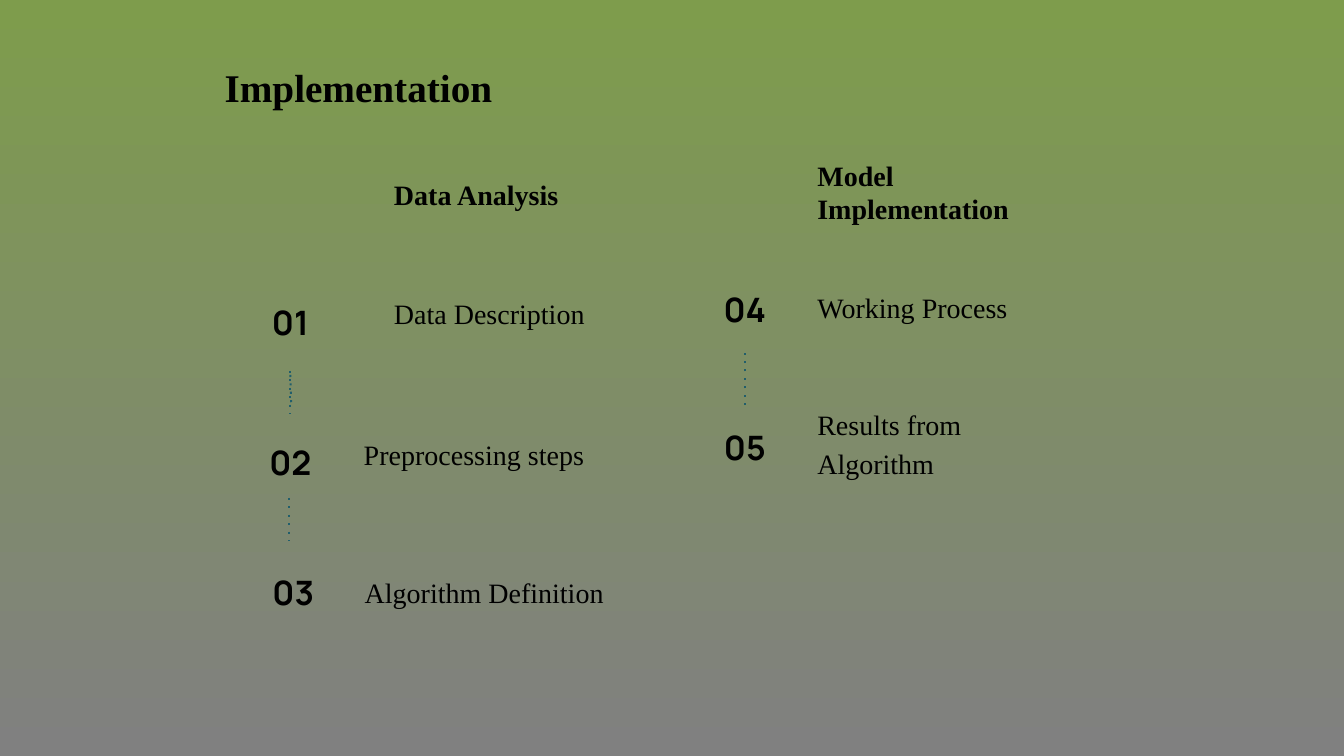
from dataclasses import dataclass

from lxml import etree
from pptx import Presentation
from pptx import util as u
from pptx.dml import color
from pptx.enum import dml, shapes, text
from pptx.oxml import ns


@dataclass(frozen=True)
class Theme:
    serif: str = "Times New Roman"
    numeral: str = "Manrope"
    ink: color.RGBColor = color.RGBColor(0, 0, 0)
    dots: color.RGBColor = color.RGBColor(0x21, 0x5E, 0x6B)
    top: color.RGBColor = color.RGBColor(0x7E, 0x9C, 0x4C)
    bottom: color.RGBColor = color.RGBColor(0x80, 0x80, 0x80)
    title_size: float = 28
    number_size: float = 24
    body_size: float = 20
    dot_width: float = 1.5


@dataclass(frozen=True)
class Box:
    left: float
    top: float
    width: float
    height: float


@dataclass(frozen=True)
class Heading:
    label: str
    box: Box
    size: float
    inset: float
    alignment: text.PP_ALIGN = text.PP_ALIGN.LEFT
    spacing: float = 1.0
    autosize: text.MSO_AUTO_SIZE = text.MSO_AUTO_SIZE.SHAPE_TO_FIT_TEXT


@dataclass(frozen=True)
class Step:
    label: str
    label_box: Box
    circle_box: Box


@dataclass(frozen=True)
class Link:
    begin_x: float
    begin_y: float
    end_x: float
    end_y: float


THEME = Theme()
INSET = 7.2
HEADINGS = (
    Heading("Implementation", Box(153.4, 38.2, 607.7, 56.2), THEME.title_size, INSET,
            autosize=text.MSO_AUTO_SIZE.NONE),
    Heading("Model Implementation", Box(576.7, 109.4, 173.5, 55.4), THEME.body_size, INSET / 2),
    Heading("Data Analysis", Box(274.3, 110.9, 187.2, 39.6), THEME.body_size, INSET / 2,
            text.PP_ALIGN.JUSTIFY, 1.5),
)
STEPS = (
    Step("Data Description", Box(274.3, 190.1, 195.1, 64.1), Box(172.1, 193.7, 70.6, 73.4)),
    Step("Preprocessing steps", Box(252.7, 292.3, 195.1, 60.5), Box(175, 295.9, 64.8, 68.4)),
    Step("Algorithm Definition", Box(253.4, 391, 195.1, 60.5), Box(177.1, 392.4, 64.8, 60.5)),
    Step("Working Process", Box(576.7, 187.2, 195.1, 60.5), Box(499.7, 190.8, 64.8, 60.5)),
    Step("Results from Algorithm", Box(576.7, 285.1, 195.1, 60.5), Box(499.7, 289.4, 64.8, 60.5)),
)
LINKS = (
    Link(207.4, 267.8, 208.1, 291.6),
    Link(207.4, 265, 207.4, 295.9),
    Link(532.1, 289.4, 532.1, 250.6),
    Link(206.6, 355.7, 206.6, 385.9),
)


def place(box: Box) -> tuple:
    """Return the box as four lengths."""
    return u.Pt(box.left), u.Pt(box.top), u.Pt(box.width), u.Pt(box.height)


def write(shape, label: str, size: float, font: str, bold: bool, alignment: text.PP_ALIGN,
          anchor: text.MSO_ANCHOR, spacing: float = 1.0, inset: float = INSET) -> None:
    """Fill a shape with one styled paragraph."""
    frame = shape.text_frame
    frame.word_wrap = True
    frame.vertical_anchor = anchor
    frame.margin_left = frame.margin_right = u.Pt(INSET)
    frame.margin_top = frame.margin_bottom = u.Pt(inset)
    paragraph = frame.paragraphs[0]
    paragraph.text = label
    paragraph.alignment = alignment
    paragraph.line_spacing = spacing
    paragraph.font.name = font
    paragraph.font.size = u.Pt(size)
    paragraph.font.bold = bold
    paragraph.font.color.rgb = THEME.ink


def draw_background(slide) -> None:
    """Paint the vertical gradient."""
    fill = slide.background.fill
    fill.gradient()
    fill.gradient_angle = 270
    for stop, position, shade in zip(fill.gradient_stops, (0, 1), (THEME.top, THEME.bottom)):
        stop.position = position
        stop.color.rgb = shade


def draw_heading(slide, heading: Heading) -> None:
    """Add a bold heading."""
    shape = slide.shapes.add_textbox(*place(heading.box))
    write(shape, heading.label, heading.size, THEME.serif, True, heading.alignment,
          text.MSO_ANCHOR.TOP, heading.spacing, heading.inset)
    shape.text_frame.auto_size = heading.autosize


def draw_step(slide, number: int, step: Step) -> None:
    """Add a step label and its numbered circle."""
    label = slide.shapes.add_textbox(*place(step.label_box))
    write(label, step.label, THEME.body_size, THEME.serif, False, text.PP_ALIGN.LEFT,
          text.MSO_ANCHOR.MIDDLE, 1.15)
    circle = slide.shapes.add_shape(shapes.MSO_SHAPE.OVAL, *place(step.circle_box))
    circle.shadow.inherit = False
    circle.fill.background()
    circle.line.fill.background()
    write(circle, f"{number:02d}", THEME.number_size, THEME.numeral, True,
          text.PP_ALIGN.CENTER, text.MSO_ANCHOR.MIDDLE)


def draw_link(slide, link: Link) -> None:
    """Add a dotted line between two steps."""
    connector = slide.shapes.add_connector(
        shapes.MSO_CONNECTOR.STRAIGHT, u.Pt(link.begin_x), u.Pt(link.begin_y),
        u.Pt(link.end_x), u.Pt(link.end_y))
    connector.line.color.rgb = THEME.dots
    connector.line.width = u.Pt(THEME.dot_width)
    connector.line.dash_style = dml.MSO_LINE.ROUND_DOT
    properties = connector.element.spPr
    properties.find(".//" + ns.qn("a:prstDash")).set("val", "dot")
    etree.SubElement(properties, ns.qn("a:effectLst"))


def main() -> None:
    """Build and save the slide."""
    presentation = Presentation()
    presentation.slide_width = u.Pt(960)
    presentation.slide_height = u.Pt(540)
    slide = presentation.slides.add_slide(presentation.slide_layouts[6])
    draw_background(slide)
    for heading in HEADINGS:
        draw_heading(slide, heading)
    for number, step in enumerate(STEPS, start=1):
        draw_step(slide, number, step)
    for link in LINKS:
        draw_link(slide, link)
    presentation.save("out.pptx")


if __name__ == "__main__":
    main()
